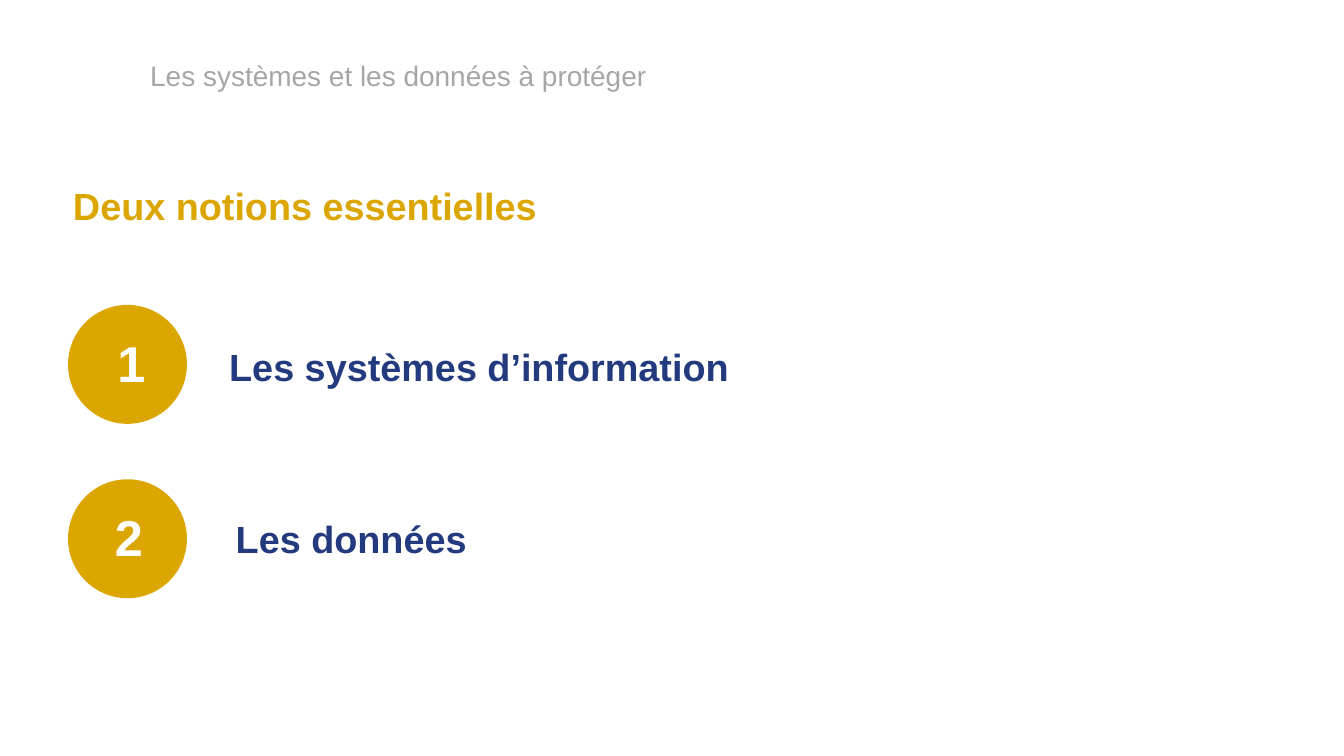
from dataclasses import dataclass

from pptx import Presentation
from pptx.dml.color import RGBColor
from pptx.enum.shapes import MSO_SHAPE
from pptx.enum.text import MSO_ANCHOR, MSO_AUTO_SIZE, PP_ALIGN
from pptx.util import Inches, Pt

OVAL = MSO_SHAPE.OVAL
TOP, MIDDLE = MSO_ANCHOR.TOP, MSO_ANCHOR.MIDDLE
NO_AUTOFIT = MSO_AUTO_SIZE.NONE
LEFT = PP_ALIGN.LEFT
TITLE_ONLY_LAYOUT = 5


@dataclass(frozen=True)
class Theme:
    font: str = "Arial"
    gold: RGBColor = RGBColor(0xDC, 0xA6, 0x00)
    navy: RGBColor = RGBColor(0x23, 0x3B, 0x7E)
    grey: RGBColor = RGBColor(0xA6, 0xA6, 0xA6)
    white: RGBColor = RGBColor(0xFF, 0xFF, 0xFF)
    title_size: int = 40
    heading_size: int = 54
    number_size: int = 72
    heading_spacing: float = 1.14


@dataclass(frozen=True)
class Notion:
    number: str
    label: str
    number_left: float
    label_left: float
    label_top: float


THEME = Theme()
MARGIN = 1.35
CIRCLE_SIZE = 2.36
FIRST_CIRCLE_TOP = 6.05
CIRCLE_PITCH = 3.46
NUMBER_OFFSET = 0.48
NOTIONS = (
    Notion("1", "Les\u00a0systèmes d’information", 2.27, 4.45, 6.65),
    Notion("2", "Les données", 2.22, 4.58, 10.05),
)


def write_text(shape, text: str, *, size: int, color: RGBColor, bold: bool = False,
               anchor=TOP, line_spacing: float = 1.0,
               inset: tuple[float, float] = (0.1, 0.05)) -> None:
    """Fill a shape with one left-aligned paragraph; inset is (sides, top and bottom)."""
    frame = shape.text_frame
    frame.word_wrap = True
    frame.auto_size = NO_AUTOFIT
    frame.vertical_anchor = anchor
    frame.margin_left = frame.margin_right = Inches(inset[0])
    frame.margin_top = frame.margin_bottom = Inches(inset[1])
    paragraph = frame.paragraphs[0]
    paragraph.alignment = LEFT
    paragraph.line_spacing = line_spacing
    paragraph.space_before = Pt(0)
    run = paragraph.add_run()
    run.text = text
    run.font.name = THEME.font
    run.font.size = Pt(size)
    run.font.bold = bold
    run.font.color.rgb = color


def add_text(slide, text: str, left: float, top: float, width: float, height: float,
             **text_format) -> None:
    box = slide.shapes.add_textbox(Inches(left), Inches(top), Inches(width), Inches(height))
    write_text(box, text, **text_format)


def add_heading(slide, text: str, left: float, top: float, color: RGBColor) -> None:
    add_text(slide, text, left, top, 21, 1.05, size=THEME.heading_size, color=color,
             bold=True, line_spacing=THEME.heading_spacing)


def add_title(slide, text: str) -> None:
    title = slide.shapes.title
    title.left, title.top = Inches(2.88), Inches(1.12)
    title.width, title.height = Inches(13.34), Inches(0.77)
    write_text(title, text, size=THEME.title_size, color=THEME.grey)


def add_notion(slide, notion: Notion, circle_top: float) -> None:
    circle = slide.shapes.add_shape(OVAL, Inches(MARGIN), Inches(circle_top),
                                    Inches(CIRCLE_SIZE), Inches(CIRCLE_SIZE))
    circle.shadow.inherit = False
    circle.fill.solid()
    circle.fill.fore_color.rgb = THEME.gold
    circle.line.fill.background()
    add_text(slide, notion.number, notion.number_left, circle_top + NUMBER_OFFSET, 1.36, 1.32,
             size=THEME.number_size, color=THEME.white, bold=True, anchor=MIDDLE,
             inset=(0.06, 0.06))
    add_heading(slide, notion.label, notion.label_left, notion.label_top, THEME.navy)


def main() -> None:
    presentation = Presentation()
    presentation.slide_width = Inches(26.67)
    presentation.slide_height = Inches(15)
    slide = presentation.slides.add_slide(presentation.slide_layouts[TITLE_ONLY_LAYOUT])
    add_title(slide, "Les systèmes et les données à protéger")
    add_heading(slide, "Deux notions essentielles", MARGIN, 3.45, THEME.gold)
    for index, notion in enumerate(NOTIONS):
        add_notion(slide, notion, FIRST_CIRCLE_TOP + index * CIRCLE_PITCH)
    presentation.save("out.pptx")


if __name__ == "__main__":
    main()
